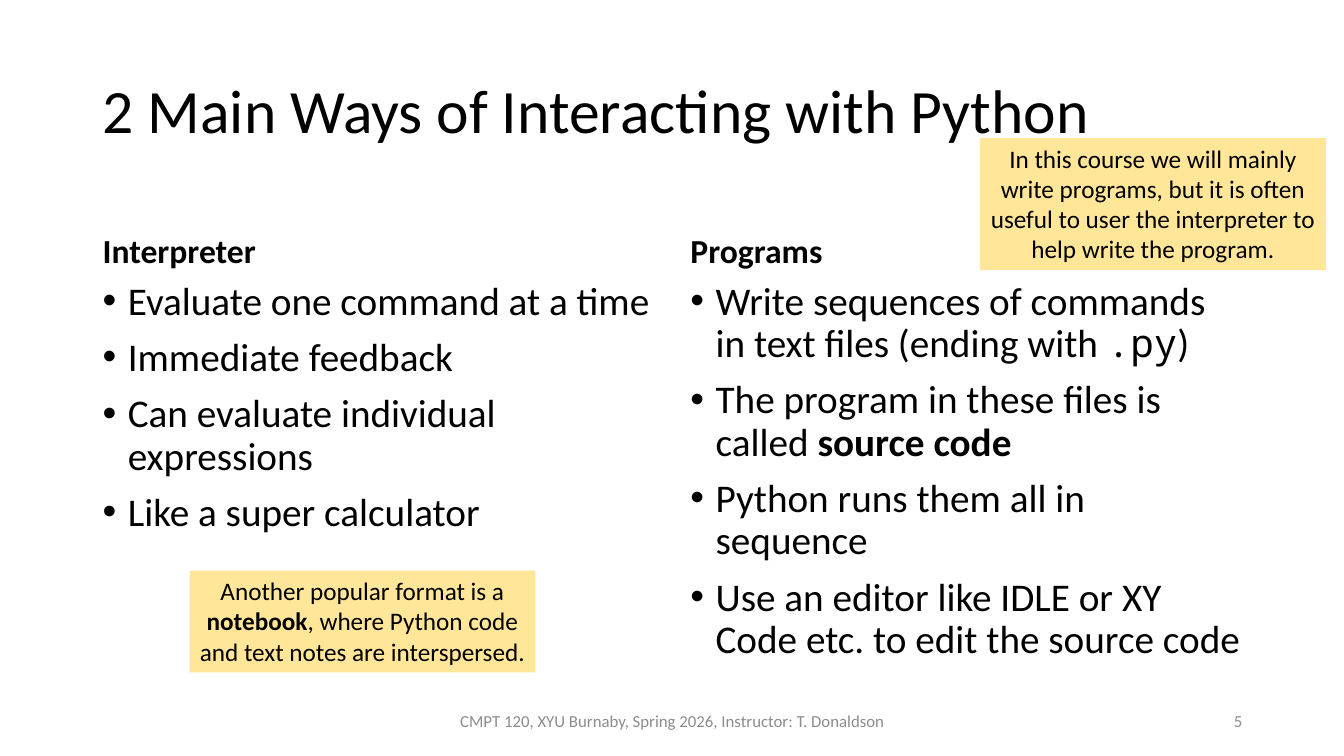
from pptx import Presentation
from pptx.dml.color import RGBColor
from pptx.enum.shapes import MSO_SHAPE
from pptx.enum.text import MSO_ANCHOR, PP_ALIGN
from pptx.oxml.ns import qn
from pptx.util import Inches, Pt
from lxml import etree

BLACK = RGBColor(0x00, 0x00, 0x00)
GRAY = RGBColor(0x8C, 0x8C, 0x8C)
YELLOW = RGBColor(0xFF, 0xE6, 0x99)
LEFT, CENTER, RIGHT = PP_ALIGN.LEFT, PP_ALIGN.CENTER, PP_ALIGN.RIGHT
TOP, MIDDLE, BOTTOM = MSO_ANCHOR.TOP, MSO_ANCHOR.MIDDLE, MSO_ANCHOR.BOTTOM
RECT = MSO_SHAPE.RECTANGLE
SANS, MONO = "Calibri", "Noto Sans Mono"

prs = Presentation()
prs.slide_width, prs.slide_height = Inches(13.33), Inches(7.5)
slide = prs.slides.add_slide(prs.slide_layouts[6])


def write(shape, lines, size, color=BLACK, align=LEFT, anchor=TOP):
    """Fill a shape with lines; each line is a list of (text, style) parts."""
    frame = shape.text_frame
    frame.word_wrap = True
    frame.vertical_anchor = anchor
    for i, line in enumerate(lines):
        para = frame.paragraphs[0] if i == 0 else frame.add_paragraph()
        para.alignment = align
        for text, style in line:
            run = para.add_run()
            run.text = text
            run.font.size = Pt(size)
            run.font.name = MONO if style == "mono" else SANS
            run.font.bold = style == "bold"
            run.font.color.rgb = color
    return frame.paragraphs


def add_box(left, top, width, height):
    return slide.shapes.add_textbox(
        Inches(left), Inches(top), Inches(width), Inches(height))


# Title
title = write(add_box(0.92, 0.4, 11.5, 1.45),
              [[("2 Main Ways of Interacting with Python", "")]], 44, anchor=MIDDLE)
title[0].line_spacing = 0.9

# Two columns: heading above bullets
columns = [
    (0.92, 5.64, "Interpreter", [
        [("Evaluate one command at a time", "")],
        [("Immediate feedback", "")],
        [("Can evaluate individual expressions", "")],
        [("Like a super calculator", "")],
    ]),
    (6.75, 5.67, "Programs", [
        [("Write sequences of commands in text files (ending with ", ""),
         (".py", "mono"), (")", "")],
        [("The program in these files is called ", ""), ("source code", "bold")],
        [("Python runs them all in sequence", "")],
        [("Use an editor like IDLE or XY Code etc. to edit the source code", "")],
    ]),
]
for left, width, name, points in columns:
    head = write(add_box(left, 1.84, width, 0.9), [[(name, "bold")]], 24, anchor=BOTTOM)
    items = write(add_box(left, 2.74, width, 4.03), points, 28)
    for para in [*head, *items]:
        para.line_spacing = 0.9
        para.space_before = Pt(10)
    for para in items:
        props = para._p.get_or_add_pPr()
        props.set("marL", str(Inches(0.25)))
        props.set("indent", str(Inches(-0.25)))
        font = etree.SubElement(props, qn("a:buFont"))
        font.set("typeface", "Arial")
        etree.SubElement(props, qn("a:buChar")).set("char", "•")

# Footer and slide number
footers = [
    (4.42, 4.5, CENTER, "CMPT 120, XYU Burnaby, Spring 2026, Instructor: T. Donaldson"),
    (9.42, 3, RIGHT, "5"),
]
for left, width, align, text in footers:
    write(add_box(left, 6.95, width, 0.4), [[(text, "")]], 12, GRAY, align, MIDDLE)

# Yellow callouts
notes = [
    (1.88, 5.66, 1.01, [
        ("Another popular format is a ", ""), ("notebook", "bold"),
        (", where Python code and text notes are interspersed.", "")]),
    (9.72, 1.37, 1.31, [
        ("In this course we will mainly write programs, but it is often useful "
         "to user the interpreter to help write the program.", "")]),
]
for left, top, height, line in notes:
    note = slide.shapes.add_shape(
        RECT, Inches(left), Inches(top), Inches(3.43), Inches(height))
    note.shadow.inherit = False
    note.fill.solid()
    note.fill.fore_color.rgb = YELLOW
    note.line.fill.background()
    write(note, [line], 18, align=CENTER)

prs.save("out.pptx")
